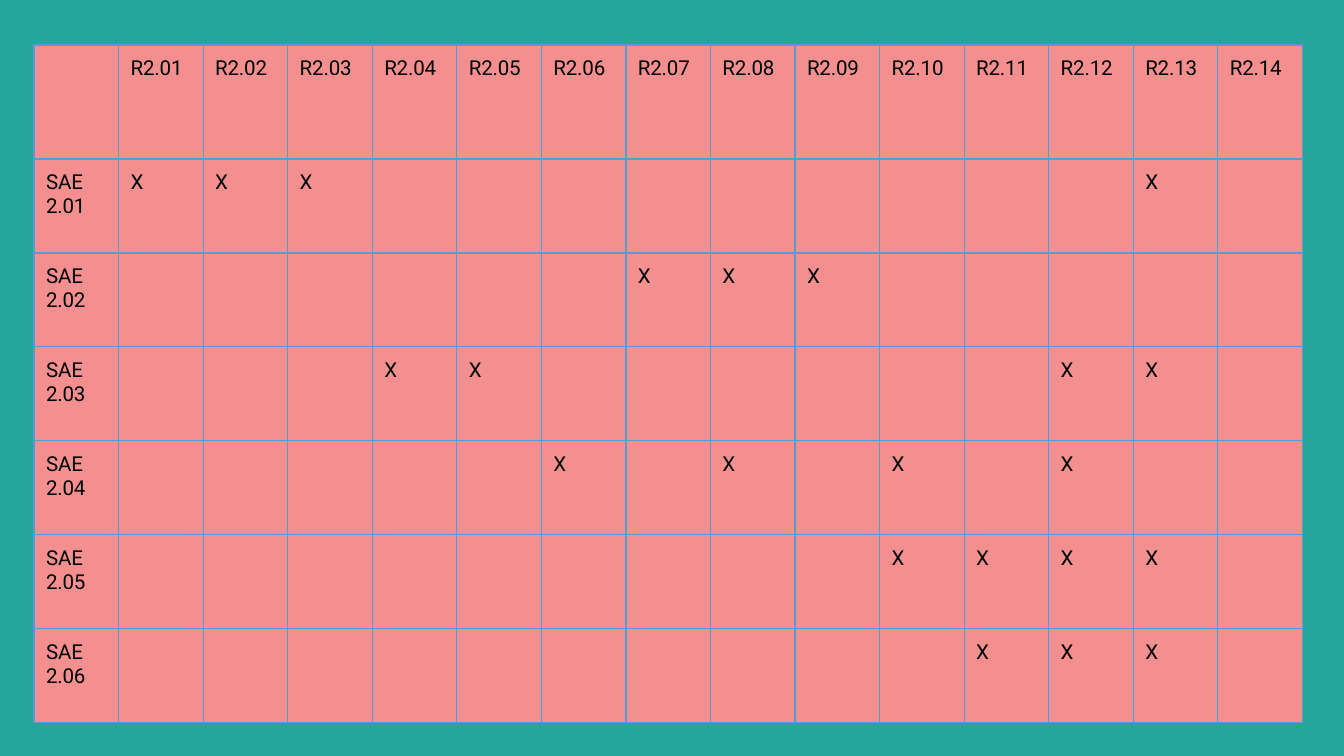
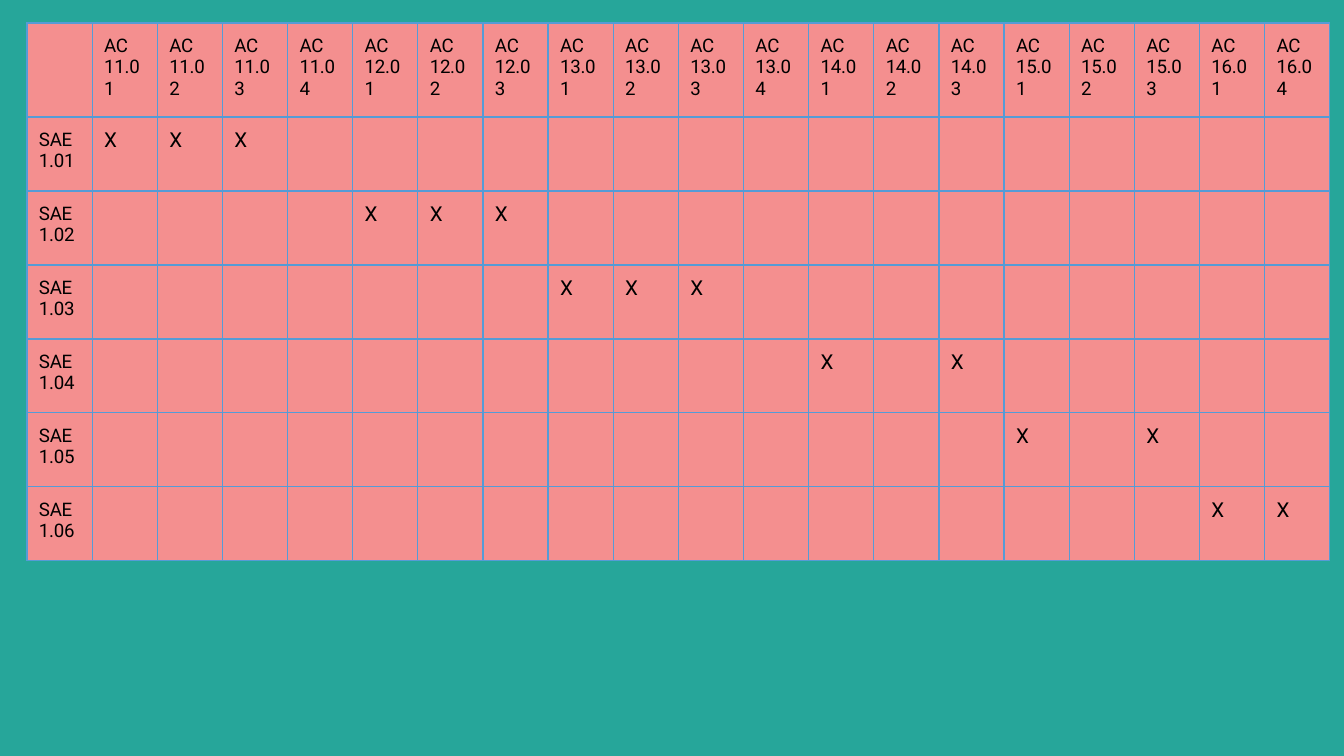
from lxml.etree import SubElement
from pptx import Presentation
from pptx.dml.color import RGBColor
from pptx.oxml.ns import qn
from pptx.util import Emu, Pt

SCALE = 9144000 / 1344
TEAL = RGBColor(0x26, 0xA6, 0x9A)
CORAL = RGBColor(0xF4, 0x8F, 0x8F)
BLUE = RGBColor(0x55, 0x9B, 0xD6)
BLACK = RGBColor(0, 0, 0)
FONT = "Roboto"
MARK = "Χ"
PAD = 12

SKILLS = {11: (1, 2, 3, 4), 12: (1, 2, 3), 13: (1, 2, 3, 4),
          14: (1, 2, 3), 15: (1, 2, 3), 16: (1, 4)}

# Each task lists the numbers of the columns it marks.
COURSE_TASKS = {
    "SAE 2.01": (1, 2, 3, 13),
    "SAE 2.02": (7, 8, 9),
    "SAE 2.03": (4, 5, 12, 13),
    "SAE 2.04": (6, 8, 10, 12),
    "SAE 2.05": (10, 11, 12, 13),
    "SAE 2.06": (11, 12, 13),
}
SKILL_TASKS = {
    "SAE 1.01": (1, 2, 3),
    "SAE 1.02": (5, 6, 7),
    "SAE 1.03": (8, 9, 10),
    "SAE 1.04": (12, 14),
    "SAE 1.05": (15, 17),
    "SAE 1.06": (18, 19),
}


def px(size):
    return Emu(round(size * SCALE))


class Deck:
    def __init__(self):
        self.prs = Presentation()
        self.prs.slide_width, self.prs.slide_height = px(1344), px(756)
        back = self.prs.slide_master.background.fill
        back.solid()
        back.fore_color.rgb = TEAL
        self.slide = None

    def page(self):
        self.slide = self.prs.slides.add_slide(self.prs.slide_layouts[6])

    def matrix(self, left, top, width, head, row, heads, tasks, size):
        """Add a table that crosses tasks with column heads."""
        rows, cols = len(tasks) + 1, len(heads) + 1
        high = head + row * len(tasks)
        table = self.slide.shapes.add_table(
            rows, cols, px(left), px(top), px(width), px(high)).table
        table.first_row = table.horz_banding = False
        for col in table.columns:
            col.width = px(width / cols)
        for num, line in enumerate(table.rows):
            line.height = px(row if num else head)
        for cell in table.iter_cells():
            self.frame(cell)
        for num, text in enumerate(heads, 1):
            self.label(table.cell(0, num), text, size)
        for num, (task, marks) in enumerate(tasks.items(), 1):
            self.label(table.cell(num, 0), task, size)
            for mark in marks:
                self.label(table.cell(num, mark), MARK, 11, 0)

    def frame(self, cell):
        """Give a cell its margins, borders and fill."""
        cell.margin_left = cell.margin_right = cell.margin_bottom = 0
        cell.margin_top = px(PAD)
        props = cell._tc.get_or_add_tcPr()
        for side in ("lnL", "lnR", "lnT", "lnB"):
            line = SubElement(props, qn(f"a:{side}"), w=str(Pt(0.75)))
            paint = SubElement(line, qn("a:solidFill"))
            SubElement(paint, qn("a:srgbClr"), val=str(BLUE))
        cell.fill.solid()
        cell.fill.fore_color.rgb = CORAL

    def label(self, cell, text, size, track=-10):
        """Fill a cell; track is letter spacing in 1/100 pt."""
        cell.text = text
        paras = cell.text_frame.paragraphs
        paras[0].space_before = Pt(6.3)
        for para in paras:
            para._p.get_or_add_pPr().set("marL", str(px(PAD)))
            font = para.font
            font.name, font.size = FONT, Pt(size)
            font.color.rgb = BLACK
            font._rPr.set("spc", str(track))


def main():
    deck = Deck()

    deck.page()
    courses = [f"R2.{num:02}" for num in range(1, 15)]
    deck.matrix(34, 45, 1269, 114, 94, courses, COURSE_TASKS, 11)

    deck.page()
    skills = [f"AC {group}.0\n{num}"
              for group, nums in SKILLS.items() for num in nums]
    deck.matrix(27, 23, 1303, 94, 74, skills, SKILL_TASKS, 10)

    deck.prs.save("out.pptx")


if __name__ == "__main__":
    main()
